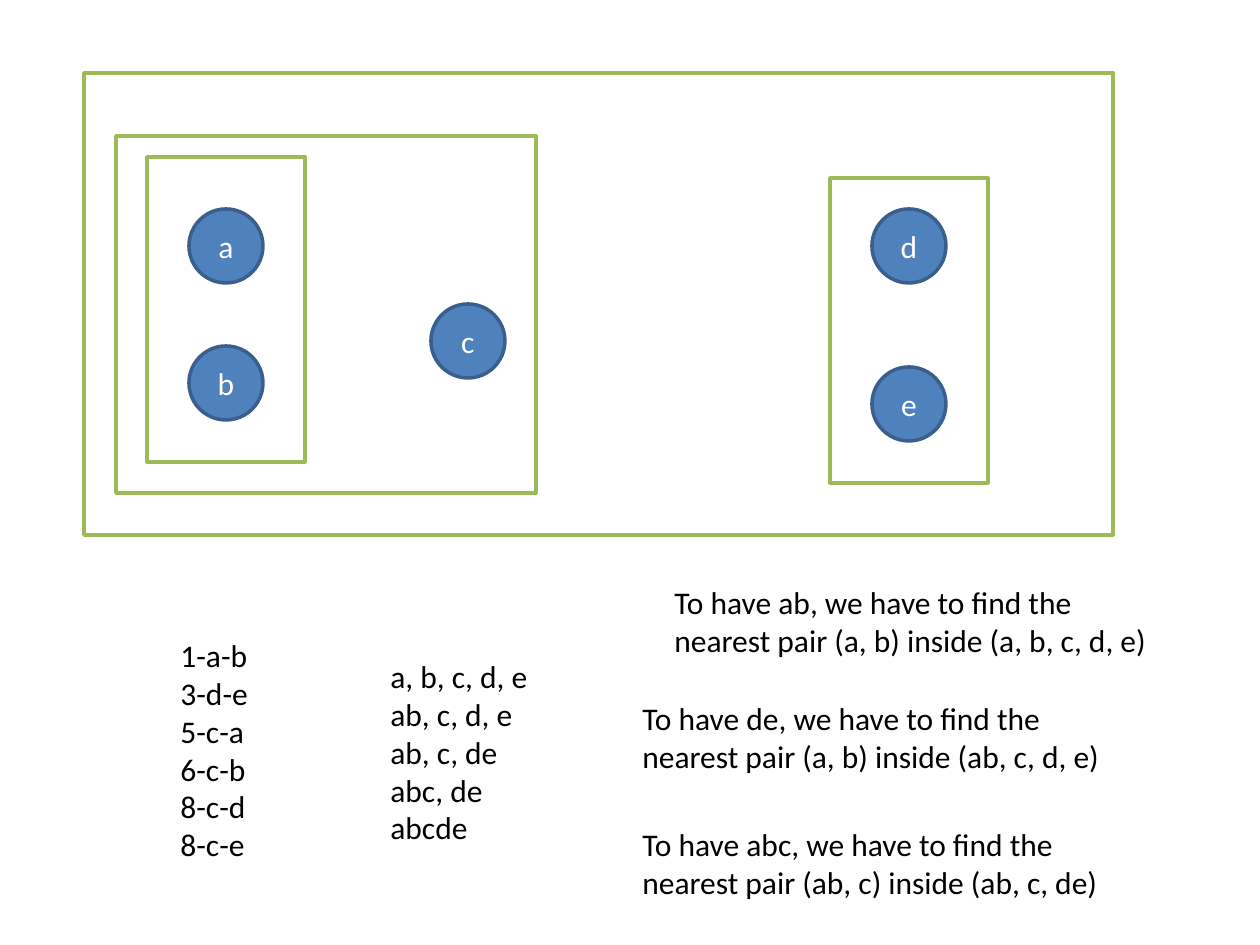
from pptx import Presentation
from pptx.dml.color import RGBColor
from pptx.enum.shapes import MSO_SHAPE as Shape
from pptx.enum.text import MSO_ANCHOR as Anchor, MSO_AUTO_SIZE as AutoSize, PP_ALIGN as Align
from pptx.util import Emu, Pt

SCALE = 914400 // 126
COLORS = {"node": "4F81BD", "node_line": "3A5F8C", "cluster": "9BBB59",
          "text": "000000", "node_text": "FFFFFF"}
NODE_SIZE = 74
PAIR_SIZE = (158, 305)


def px(*lengths):
    return [Emu(length * SCALE) for length in lengths]


def color(name):
    return RGBColor.from_string(COLORS[name])


def write(frame, lines, ink="text", align=Align.LEFT, anchor=Anchor.TOP, size=18):
    frame.word_wrap = True
    frame.vertical_anchor = anchor
    for index, line in enumerate(lines):
        para = frame.paragraphs[0] if index == 0 else frame.add_paragraph()
        para.alignment = align
        span = para.add_run()
        span.text = line
        span.font.name = "Calibri"
        span.font.size = Pt(size)
        span.font.color.rgb = color(ink)


def add_outline(page, kind, box, line, fill=None):
    shape = page.shapes.add_shape(kind, *px(*box))
    shape.shadow.inherit = False
    if fill:
        shape.fill.solid()
        shape.fill.fore_color.rgb = color(fill)
    else:
        shape.fill.background()
    shape.line.color.rgb = color(line)
    shape.line.width = Pt(2)
    return shape


def draw_clusters(page, box):
    left, top, width, height = box
    nodes = {"a": (105, 136), "b": (105, 273), "c": (347, 231),
             "d": (788, 136), "e": (788, 294)}
    clusters = [(63, 84, *PAIR_SIZE), (746, 105, *PAIR_SIZE),
                (32, 63, 420, 357), (0, 0, width, height)]
    for label, (x, y) in nodes.items():
        node = add_outline(page, Shape.OVAL, (left + x, top + y, NODE_SIZE, NODE_SIZE),
                           "node_line", "node")
        write(node.text_frame, [label], ink="node_text", align=Align.CENTER,
              anchor=Anchor.MIDDLE)
    for x, y, w, h in clusters:
        add_outline(page, Shape.RECTANGLE, (left + x, top + y, w, h), "cluster")


def draw_text(page, box, lines):
    text_box = page.shapes.add_textbox(*px(*box))
    write(text_box.text_frame, lines)
    text_box.text_frame.auto_size = AutoSize.SHAPE_TO_FIT_TEXT


def draw_steps(page, box):
    left, top, width, height = box
    steps = [(32, 0, "ab", "a, b", "a, b, c, d, e"),
             (0, 116, "de", "a, b", "ab, c, d, e"),
             (0, 242, "abc", "ab, c", "ab, c, de")]
    for x, y, goal, pair, groups in steps:
        draw_text(page, (left + x, top + y, width, height),
                  [f"To have {goal}, we have to find the nearest pair ({pair}) inside ({groups})"])


deck = Presentation()
deck.slide_width, deck.slide_height = px(1260, 945)
page = deck.slides.add_slide(deck.slide_layouts[6])
draw_clusters(page, (84, 73, 1029, 462))
draw_text(page, (168, 630, 105, 242),
          ["1-a-b", "3-d-e", "5-c-a", "6-c-b", "8-c-d", "8-c-e"])
draw_text(page, (378, 651, 210, 242),
          ["a, b, c, d, e", "ab, c, d, e", "ab, c, de", "abc, de", "abcde"])
draw_steps(page, (630, 577, 525, 89))
deck.save("out.pptx")
